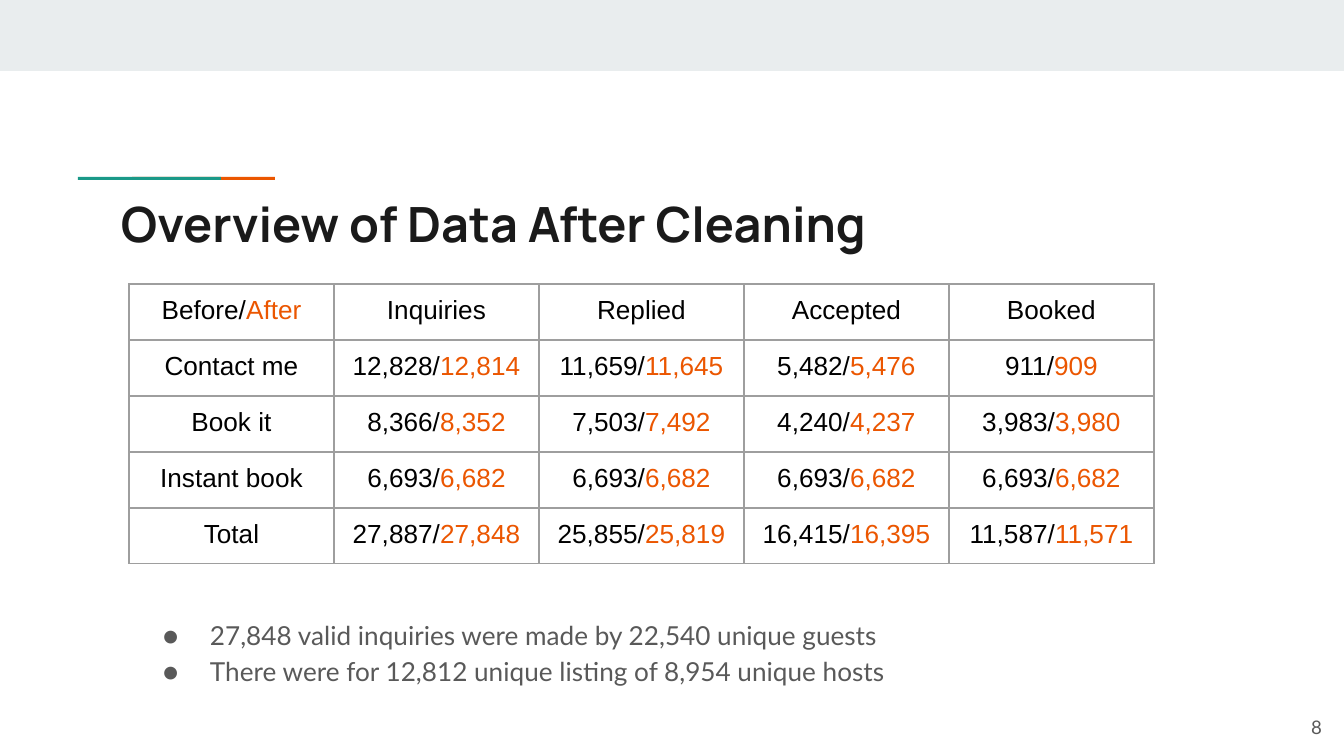
from dataclasses import dataclass

from lxml import etree
from pptx import Presentation
from pptx.dml.color import RGBColor
from pptx.enum.shapes import MSO_SHAPE
from pptx.enum.text import MSO_ANCHOR, PP_ALIGN
from pptx.oxml.ns import qn
from pptx.util import Pt

RECT = MSO_SHAPE.RECTANGLE
LEFT, CENTER, RIGHT = PP_ALIGN.LEFT, PP_ALIGN.CENTER, PP_ALIGN.RIGHT
TOP, MIDDLE = MSO_ANCHOR.TOP, MSO_ANCHOR.MIDDLE
WIDE, HIGH = 1344, 756
SCALE = 9144000 / WIDE
PAD = 13
TIGHT = 12


@dataclass(frozen=True)
class Theme:
    band: str = "E9EDEE"
    teal: str = "1A9988"
    orange: str = "EB5600"
    dark: str = "1A1A1A"
    gray: str = "595959"
    black: str = "000000"
    grid: str = "9E9E9E"
    head: str = "Manrope"
    body: str = "Lato"
    cell: str = "Arial"
    big: int = 26
    mid: int = 14
    small: int = 10
    rule: float = 0.75


def px(n):
    return round(n * SCALE)


def rgb(code):
    return RGBColor.from_string(code)


def style(item, face, size, color, bold=False):
    """Set the font of a paragraph or a run."""
    font = item.font
    font.name, font.size, font.bold = face, Pt(size), bold
    font.color.rgb = rgb(color)


class Page:
    def __init__(self, slide, theme):
        self.slide, self.theme = slide, theme

    def bar(self, x, y, w, h, color):
        shape = self.slide.shapes.add_shape(RECT, px(x), px(y), px(w), px(h))
        shape.shadow.inherit = False
        shape.fill.solid()
        shape.fill.fore_color.rgb = rgb(color)
        shape.line.fill.background()

    def text(self, box, lines, face, size, color, bold=False, align=LEFT, anchor=TOP):
        shape = self.slide.shapes.add_textbox(*map(px, box))
        frame = shape.text_frame
        frame.word_wrap = True
        frame.vertical_anchor = anchor
        frame.margin_left = frame.margin_right = px(PAD)
        frame.margin_top = frame.margin_bottom = px(PAD)
        frame.text = "\n".join(lines)
        for para in frame.paragraphs:
            para.alignment = align
            style(para, face, size, color, bold)
        return frame

    def bullets(self, box, lines):
        t = self.theme
        frame = self.text(box, lines, t.body, t.mid, t.gray)
        for para in frame.paragraphs:
            para.line_spacing = 1.15
            props = para._p.get_or_add_pPr()
            props.set("marL", str(px(67)))
            props.set("indent", str(px(-47)))
            tint = etree.Element(qn("a:buClr"))
            etree.SubElement(tint, qn("a:srgbClr"), val=t.gray)
            size = etree.Element(qn("a:buSzPts"), val=str(t.mid * 100))
            face = etree.Element(qn("a:buFont"), typeface=t.body)
            mark = etree.Element(qn("a:buChar"), char="●")
            # Bullet marks come after line spacing and before the default font.
            spot = props.index(props.find(qn("a:lnSpc"))) + 1
            props[spot:spot] = [tint, size, face, mark]

    def border(self, cell):
        props = cell._tc.get_or_add_tcPr()
        for side in ("lnL", "lnR", "lnT", "lnB"):
            line = etree.SubElement(props, qn(f"a:{side}"), w=str(Pt(self.theme.rule)))
            fill = etree.SubElement(line, qn("a:solidFill"))
            etree.SubElement(fill, qn("a:srgbClr"), val=self.theme.grid)

    def fill(self, cell, words):
        """Write a cell, with whatever follows a slash in orange."""
        t = self.theme
        self.border(cell)
        cell.fill.background()
        cell.margin_left = cell.margin_right = px(PAD)
        cell.margin_top = cell.margin_bottom = px(TIGHT)
        para = cell.text_frame.paragraphs[0]
        para.alignment = CENTER
        before, slash, after = words.partition("/")
        for part, color in ((before + slash, t.black), (after, t.orange)):
            if part:
                run = para.add_run()
                run.text = part
                style(run, t.cell, t.mid, color)

    def table(self, x, y, col, row, data):
        rows, cols = len(data), len(data[0])
        frame = self.slide.shapes.add_table(
            rows, cols, px(x), px(y), px(col * cols), px(row * rows))
        table = frame.table
        table.first_row = table.horz_banding = False
        for item in table.columns:
            item.width = px(col)
        for item, words in zip(table.rows, data):
            item.height = px(row)
            for cell, word in zip(item.cells, words):
                self.fill(cell, word)


DATA = [
    ["Before/After", "Inquiries", "Replied", "Accepted", "Booked"],
    ["Contact me", "12,828/12,814", "11,659/11,645", "5,482/5,476", "911/909"],
    ["Book it", "8,366/8,352", "7,503/7,492", "4,240/4,237", "3,983/3,980"],
    ["Instant book"] + ["6,693/6,682"] * 4,
    ["Total", "27,887/27,848", "25,855/25,819", "16,415/16,395", "11,587/11,571"],
]
NOTES = [
    "27,848 valid inquiries were made by 22,540 unique guests",
    "There were for 12,812 unique listing of 8,954 unique hosts",
]


def main():
    deck = Presentation()
    deck.slide_width, deck.slide_height = px(WIDE), px(HIGH)
    t = Theme()
    page = Page(deck.slides.add_slide(deck.slide_layouts[6]), t)

    page.bar(0, 0, WIDE, 71, t.band)
    for x, color in ((132, t.orange), (78, t.teal)):
        page.bar(x, 177, 143, 3, color)
    page.text((108, 181, 1130, 79), ["Overview of Data After Cleaning"],
              t.head, t.big, t.dark, bold=True)
    page.table(129, 284, 205, 56, DATA)
    page.bullets((130, 602, 1130, 79), NOTES)
    page.text((1254, 698, 81, 58), ["8"], t.body, t.small, t.gray,
              align=RIGHT, anchor=MIDDLE)
    deck.save("out.pptx")


if __name__ == "__main__":
    main()
